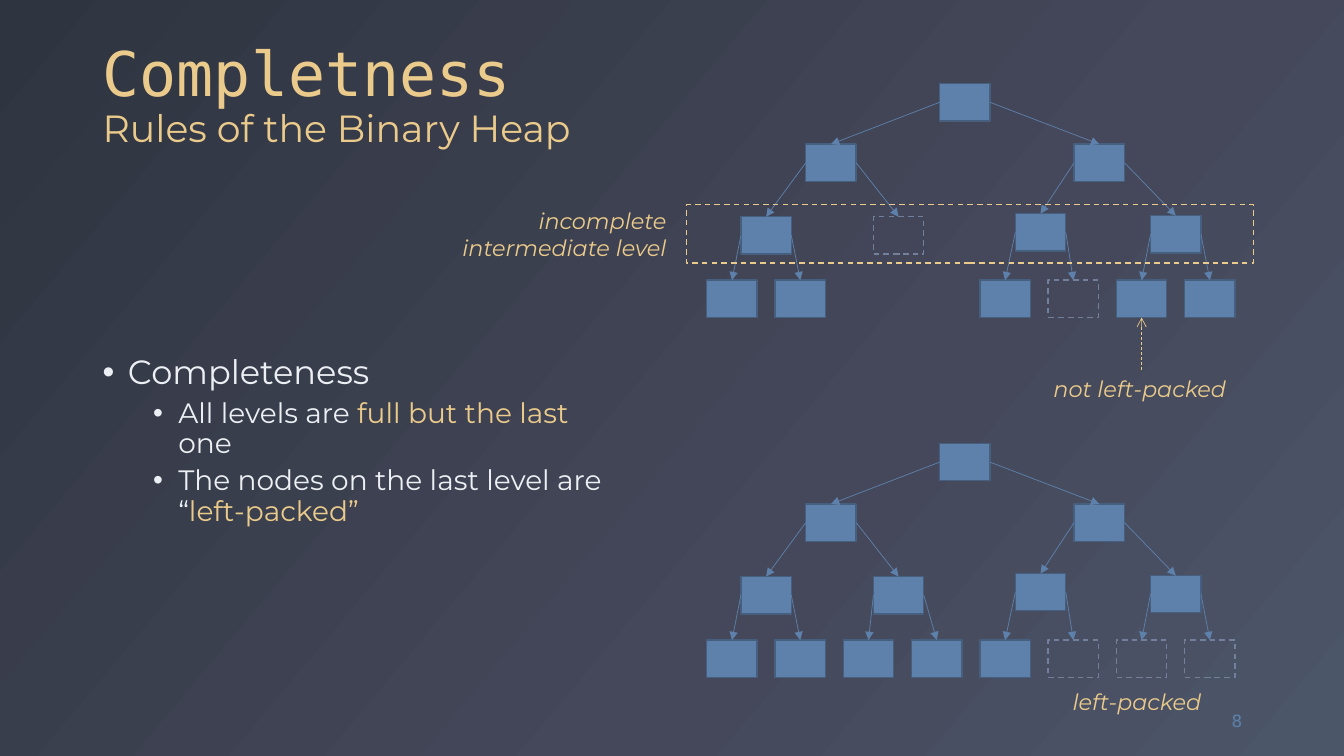
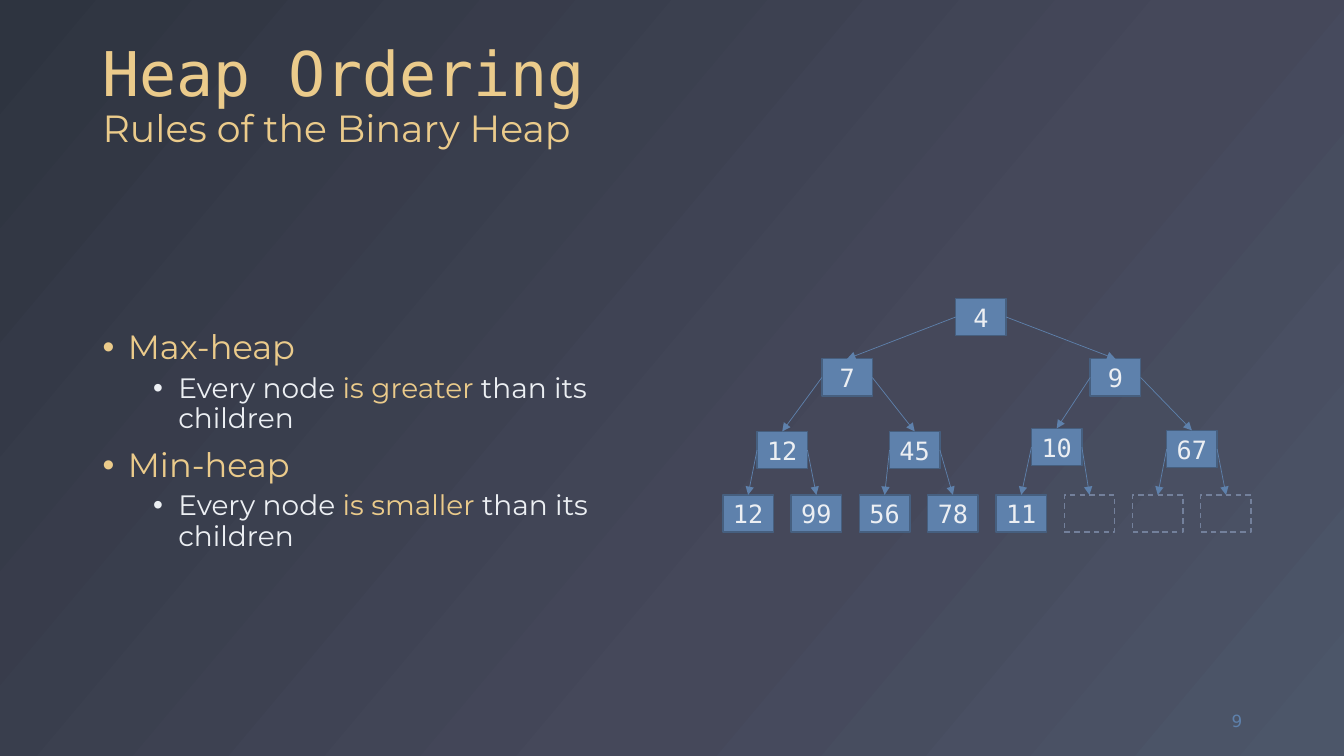
from copy import deepcopy
from dataclasses import dataclass
from typing import NamedTuple

from pptx import Presentation
from pptx.dml.color import RGBColor
from pptx.enum.dml import MSO_LINE
from pptx.enum.shapes import MSO_CONNECTOR, MSO_SHAPE
from pptx.enum.text import MSO_ANCHOR, MSO_AUTO_SIZE, PP_ALIGN
from pptx.oxml.ns import qn
from pptx.oxml.xmlchemy import OxmlElement
from pptx.util import Inches, Pt

COLORS = {
    "night": "2E3440", "dusk": "45485A", "slate": "4C5669",
    "gold": "EBCB8B", "snow": "ECEFF3", "blue": "5E81AC",
    "node_edge": "465F7F", "empty_edge": "73809B",
}
SANS, MONO, NUMBER_FONT = "Montserrat", "DejaVu Sans Mono", "DejaVu Sans"

NODE_WIDTH, NODE_HEIGHT = 0.5, 0.37
LEAF_PITCH = 4.74 / 7


class Cell(NamedTuple):
    column: float  # counted in leaf pitches
    drop: float    # inches below the root


# Heap order: the children of cell i are cells 2i + 1 and 2i + 2.
TREE_CELLS = [
    Cell(3.41, 0),
    Cell(1.45, 0.6), Cell(5.38, 0.6),
    Cell(0.5, 1.32), Cell(2.44, 1.32), Cell(4.52, 1.29), Cell(6.5, 1.31),
    *(Cell(column, 1.95) for column in range(8)),
]


class Span(NamedTuple):
    text: str
    color: str = "snow"


class Bullet(NamedTuple):
    level: int
    spans: list[Span]


class BulletStyle(NamedTuple):
    size: float
    indent: float
    space_before: float


BULLET_STYLES = [BulletStyle(24, 0.25, 10), BulletStyle(20, 0.75, 5)]


@dataclass(frozen=True)
class Tree:
    left: float
    top: float
    labels: tuple[str, ...] = ()
    empty: frozenset[int] = frozenset()
    missing: frozenset[int] = frozenset()

    def corner(self, index: int) -> tuple[float, float]:
        cell = TREE_CELLS[index]
        return self.left + cell.column * LEAF_PITCH, self.top + cell.drop


@dataclass(frozen=True)
class Callout:
    text: str
    left: float
    top: float
    width: float
    height: float = 0.37
    align: PP_ALIGN = PP_ALIGN.LEFT


def rgb(name: str) -> RGBColor:
    return RGBColor.from_string(COLORS[name])


def add_span(para, text: str, *, size: float, color: str, font: str = SANS,
             italic: bool = False):
    span = para.add_run()
    span.text = text
    span.font.size = Pt(size)
    span.font.name = font
    span.font.italic = italic
    span.font.color.rgb = rgb(color)


def add_box(page, left: float, top: float, width: float, height: float, *,
            anchor=MSO_ANCHOR.TOP, wrap: bool = True):
    frame = page.shapes.add_textbox(
        Inches(left), Inches(top), Inches(width), Inches(height)).text_frame
    frame.word_wrap = wrap
    frame.auto_size = MSO_AUTO_SIZE.NONE if wrap else MSO_AUTO_SIZE.SHAPE_TO_FIT_TEXT
    frame.vertical_anchor = anchor
    return frame


def set_line(line, color: str, width: float, dashed: bool):
    line.color.rgb = rgb(color)
    line.width = Pt(width)
    if dashed:
        line.dash_style = MSO_LINE.DASH


def add_rectangle(page, left: float, top: float, width: float, height: float, *,
                  edge: str, fill: str | None = None):
    """Draw a filled rectangle, or a dashed outline when there is no fill."""
    shape = page.shapes.add_shape(
        MSO_SHAPE.RECTANGLE, Inches(left), Inches(top), Inches(width), Inches(height))
    shape.shadow.inherit = False
    if fill:
        shape.fill.solid()
        shape.fill.fore_color.rgb = rgb(fill)
    else:
        shape.fill.background()
    set_line(shape.line, edge, 1, dashed=fill is None)
    return shape


def add_arrow(page, start: tuple[float, float], end: tuple[float, float], *,
              color: str = "blue", head: str = "triangle", dashed: bool = False):
    arrow = page.shapes.add_connector(
        MSO_CONNECTOR.STRAIGHT, *(Inches(value) for value in (*start, *end)))
    set_line(arrow.line, color, 0.5, dashed)
    tail = OxmlElement("a:tailEnd")
    tail.set("type", head)
    properties = arrow.element.spPr
    properties.find(qn("a:ln")).append(tail)
    properties.append(OxmlElement("a:effectLst"))


def add_bullet_mark(para, indent: float):
    properties = para._p.get_or_add_pPr()
    properties.set("marL", str(Inches(indent)))
    properties.set("indent", str(Inches(-0.25)))
    font = OxmlElement("a:buFont")
    font.set("typeface", "Arial")
    mark = OxmlElement("a:buChar")
    mark.set("char", "•")
    properties.extend([font, mark])


def paint_background(page):
    fill = page.background.fill
    fill.gradient()
    fill.gradient_angle = 320
    first, last = fill.gradient_stops
    first.color.rgb, last.color.rgb = rgb("night"), rgb("slate")
    first.position, last.position = 0, 1
    stops = page.element.find(".//" + qn("a:gsLst"))
    middle = deepcopy(stops[0])
    middle.set("pos", "63000")
    middle.find(qn("a:srgbClr")).set("val", COLORS["dusk"])
    stops.insert(1, middle)


def add_title(page, title: str):
    para = add_box(page, 0.92, 0.18, 11.5, 1.36, anchor=MSO_ANCHOR.BOTTOM).paragraphs[0]
    para.line_spacing = 0.9
    add_span(para, title, size=44, color="gold", font=MONO)
    para.add_line_break()
    add_span(para, "Rules of the Binary Heap", size=27, color="gold")


def add_bullets(page, bullets: list[Bullet], width: float):
    frame = add_box(page, 0.92, 2, width, 4.76, anchor=MSO_ANCHOR.MIDDLE)
    for position, bullet in enumerate(bullets):
        para = frame.add_paragraph() if position else frame.paragraphs[0]
        style = BULLET_STYLES[bullet.level]
        para.level = bullet.level
        para.line_spacing = 0.9
        para.space_before = Pt(style.space_before)
        add_bullet_mark(para, style.indent)
        for span in bullet.spans:
            add_span(para, span.text, size=style.size, color=span.color)


def add_page_number(page, number: int):
    para = add_box(page, 11.59, 6.95, 0.83, 0.4, anchor=MSO_ANCHOR.MIDDLE).paragraphs[0]
    para.alignment = PP_ALIGN.RIGHT
    add_span(para, str(number), size=12, color="blue", font=NUMBER_FONT)


def add_node(page, tree: Tree, index: int):
    empty = index in tree.empty
    shape = add_rectangle(
        page, *tree.corner(index), NODE_WIDTH, NODE_HEIGHT,
        edge="empty_edge" if empty else "node_edge", fill=None if empty else "blue")
    if index < len(tree.labels):
        frame = shape.text_frame
        frame.word_wrap = False
        frame.margin_left = frame.margin_right = frame.margin_top = frame.margin_bottom = 0
        frame.vertical_anchor = MSO_ANCHOR.MIDDLE
        para = frame.paragraphs[0]
        para.alignment = PP_ALIGN.CENTER
        add_span(para, tree.labels[index], size=18, color="snow", font=MONO)


def add_tree(page, tree: Tree):
    present = [index for index in range(len(TREE_CELLS)) if index not in tree.missing]
    for index in present:
        add_node(page, tree, index)
    for child in present[1:]:
        parent_left, parent_top = tree.corner((child - 1) // 2)
        child_left, child_top = tree.corner(child)
        side = 0 if child % 2 else NODE_WIDTH
        add_arrow(page, (parent_left + side, parent_top + NODE_HEIGHT / 2),
                  (child_left + NODE_WIDTH / 2, child_top))


def add_callout(page, callout: Callout):
    frame = add_box(page, callout.left, callout.top, callout.width, callout.height,
                    wrap=False)
    for position, line in enumerate(callout.text.split("\n")):
        para = frame.add_paragraph() if position else frame.paragraphs[0]
        para.alignment = callout.align
        add_span(para, line, size=16, color="gold", italic=True)


def add_page(deck, number: int, title: str, bullets: list[Bullet], bullet_width: float,
             trees: list[Tree]):
    page = deck.slides.add_slide(deck.slide_layouts[6])
    paint_background(page)
    add_title(page, title)
    add_bullets(page, bullets, bullet_width)
    add_page_number(page, number)
    for tree in trees:
        add_tree(page, tree)
    return page


def add_completeness_page(deck):
    broken = Tree(7.01, 0.83, empty=frozenset({4, 12}), missing=frozenset({9, 10}))
    packed = Tree(7.01, 4.4, empty=frozenset({12, 13, 14}))
    page = add_page(deck, 8, "Completness", [
        Bullet(0, [Span("Completeness")]),
        Bullet(1, [Span("All levels are "), Span("full but the last ", "gold"), Span("one")]),
        Bullet(1, [Span("The nodes on the last level are “"), Span("left-packed”", "gold")]),
    ], 5.16, [broken, packed])
    for callout in (
        Callout("not left-packed", 10.35, 3.67, 1.94),
        Callout("incomplete\nintermediate level", 4.45, 2.01, 2.26, 0.64, PP_ALIGN.RIGHT),
        Callout("left-packed", 10.54, 6.78, 1.5),
    ):
        add_callout(page, callout)
    leaf_left, leaf_top = broken.corner(13)
    center = leaf_left + NODE_WIDTH / 2
    add_arrow(page, (center, 3.67), (center, leaf_top + NODE_HEIGHT),
              color="gold", head="arrow", dashed=True)
    add_rectangle(page, 6.81, 2.03, 5.62, 0.58, edge="gold")


def add_ordering_page(deck):
    labels = ("4", "7", "9", "12", "45", "10", "67", "12", "99", "56", "78", "11")
    bullets = []
    for heap, relation in (("Max-heap", "is greater "), ("Min-heap", "is smaller ")):
        bullets += [
            Bullet(0, [Span(heap, "gold")]),
            Bullet(1, [Span("Every node "), Span(relation, "gold"), Span("than its children")]),
        ]
    add_page(deck, 9, "Heap Ordering", bullets, 5.82,
             [Tree(7.17, 2.96, labels, empty=frozenset({12, 13, 14}))])


def main():
    deck = Presentation()
    deck.slide_width, deck.slide_height = Inches(13.33), Inches(7.5)
    add_completeness_page(deck)
    add_ordering_page(deck)
    deck.save("out.pptx")


if __name__ == "__main__":
    main()
